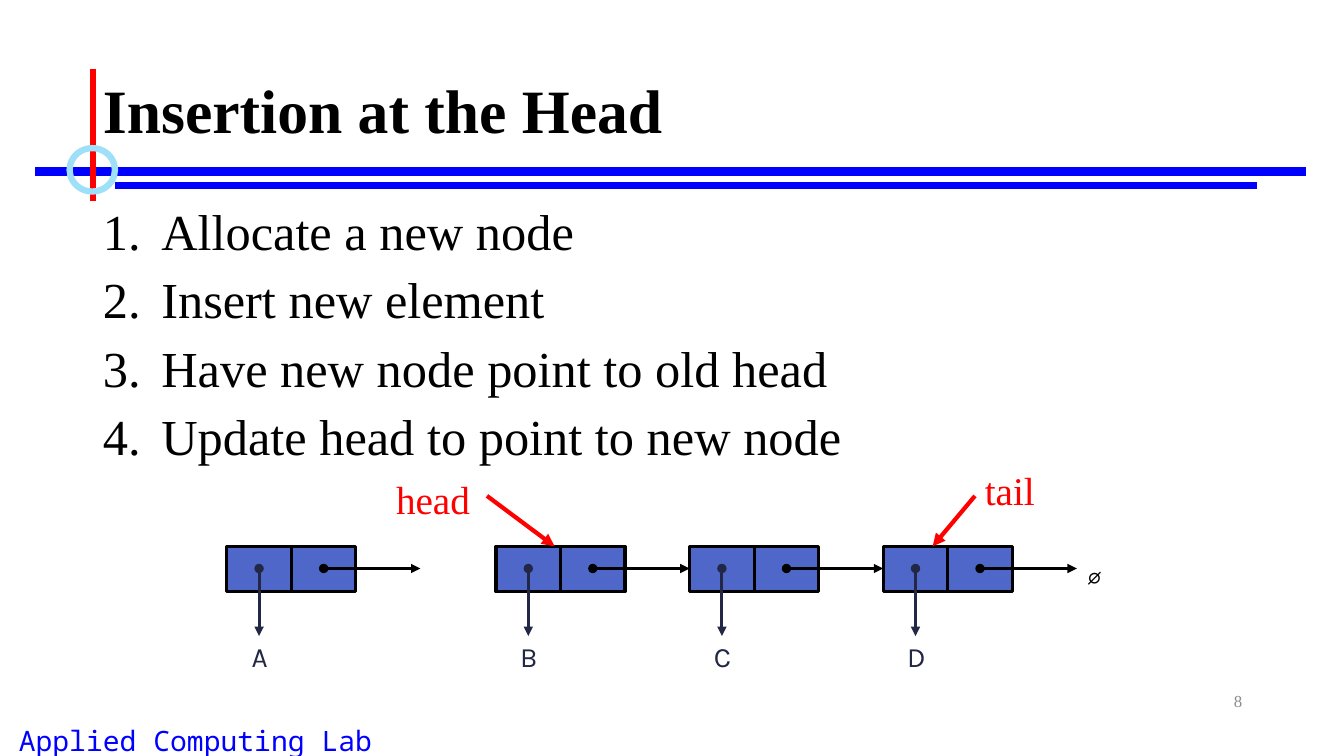
from lxml import etree
from pptx import Presentation
from pptx.dml.color import RGBColor
from pptx.enum.shapes import MSO_CONNECTOR, MSO_SHAPE
from pptx.enum.text import MSO_ANCHOR, MSO_AUTO_SIZE, PP_ALIGN
from pptx.oxml.ns import qn
from pptx.util import Inches, Pt

STRAIGHT = MSO_CONNECTOR.STRAIGHT
RECTANGLE, OVAL = MSO_SHAPE.RECTANGLE, MSO_SHAPE.OVAL
LEFT, CENTER, RIGHT = PP_ALIGN.LEFT, PP_ALIGN.CENTER, PP_ALIGN.RIGHT
TOP, MIDDLE = MSO_ANCHOR.TOP, MSO_ANCHOR.MIDDLE
NO_FIT = MSO_AUTO_SIZE.NONE

COLORS = {
    "black": "000000",
    "blue": "0000FF",
    "red": "FF0000",
    "sky": "9EE0F8",
    "node": "4E67C8",
    "navy": "212745",
    "gray": "8C8C8C",
}
SERIF, SANS, MONO = "Times New Roman", "Karla", "Noto Sans Mono"
CELL_WIDTH, CELL_HEIGHT = 0.64, 0.45
NODE_TOP = 5.42
POINTER_Y = 5.64
LIST_LEFT, NODE_PITCH = 4.92, 1.92
STEPS = [
    "Allocate a new node",
    "Insert new element",
    "Have new node point to old head",
    "Update head to point to new node",
]


def color(name):
    return RGBColor.from_string(COLORS[name])


def set_values(target, values):
    for name, value in values.items():
        setattr(target, name, value)


def style_paragraph(paragraph, text, font, size, ink, bold=False, **layout):
    run = paragraph.add_run()
    run.text = text
    set_values(run.font, {"name": font, "size": Pt(size), "bold": bold})
    run.font.color.rgb = color(ink)
    set_values(paragraph, layout)


def add_text(slide, box, text, font, size, ink, align=CENTER, anchor=TOP, wrap=False):
    shape = slide.shapes.add_textbox(*map(Inches, box))
    set_values(shape.text_frame, {"word_wrap": wrap, "vertical_anchor": anchor})
    style_paragraph(shape.text_frame.paragraphs[0], text, font, size, ink, alignment=align)


def add_line(slide, start, end, ink, width, head=None, tail=None):
    connector = slide.shapes.add_connector(STRAIGHT, *map(Inches, (*start, *end)))
    connector.line.color.rgb = color(ink)
    connector.line.width = Pt(width)
    outline = connector.line._get_or_add_ln()
    for tag, kind in (("a:headEnd", head), ("a:tailEnd", tail)):
        if kind:
            etree.SubElement(outline, qn(tag)).set("type", kind)
    etree.SubElement(connector._element.spPr, qn("a:effectLst"))


def add_shape(slide, kind, box, ink, width, fill=None):
    shape = slide.shapes.add_shape(kind, *map(Inches, box))
    shape.shadow.inherit = False
    shape.line.color.rgb = color(ink)
    shape.line.width = Pt(width)
    if fill:
        shape.fill.solid()
        shape.fill.fore_color.rgb = color(fill)
    else:
        shape.fill.background()


def add_decoration(slide):
    add_text(slide, (-0.58, 7.13, 5.04, 0.43), "Applied Computing Lab", MONO, 20, "blue", wrap=True)
    add_line(slide, (0.35, 1.7), (12.95, 1.7), "blue", 6)
    add_line(slide, (1.14, 1.84), (12.47, 1.84), "blue", 4.5)
    add_line(slide, (0.92, 0.68), (0.92, 1.99), "red", 4.5)
    add_shape(slide, OVAL, (0.69, 1.47, 0.45, 0.43), "sky", 4.5)
    add_text(slide, (9.42, 6.75, 3, 0.4), "8", SERIF, 12, "gray", RIGHT, MIDDLE, True)


def place(placeholder, box, anchor):
    sides = zip(("left", "top", "width", "height"), map(Inches, box))
    set_values(placeholder, dict(sides))
    set_values(placeholder.text_frame, {
        "word_wrap": True, "vertical_anchor": anchor, "auto_size": NO_FIT,
    })
    return placeholder.text_frame


def fill_title(slide, text):
    frame = place(slide.shapes.title, (0.92, 0.4, 11.5, 1.45), MIDDLE)
    style_paragraph(frame.paragraphs[0], text, SERIF, 44, "black", True,
                    alignment=LEFT, line_spacing=0.9)


def fill_steps(slide, steps):
    frame = place(slide.placeholders[1], (0.92, 2, 11.5, 2.7), TOP)
    for index, step in enumerate(steps):
        paragraph = frame.add_paragraph() if index else frame.paragraphs[0]
        style_paragraph(paragraph, step, SERIF, 36, "black",
                        line_spacing=0.9, space_before=Pt(10))
        properties = paragraph._p.get_or_add_pPr()
        properties.set("marL", str(Inches(0.58)))
        properties.set("indent", str(-Inches(0.58)))
        etree.SubElement(properties, qn("a:buAutoNum")).set("type", "arabicPeriod")


def add_node(slide, left, label):
    for cell in range(2):
        box = (left + cell * CELL_WIDTH, NODE_TOP, CELL_WIDTH, CELL_HEIGHT)
        add_shape(slide, RECTANGLE, box, "black", 2.25, "node")
    element_x = left + CELL_WIDTH / 2
    next_x = element_x + CELL_WIDTH
    ends = {"head": "oval", "tail": "triangle"}
    add_line(slide, (element_x, POINTER_Y), (element_x, 6.31), "navy", 2.25, **ends)
    add_line(slide, (next_x, POINTER_Y), (left + NODE_PITCH, POINTER_Y), "black", 2.25, **ends)
    add_text(slide, (element_x - 0.18, 6.3, 0.37, 0.43), label, SANS, 20, "navy")


def add_marker(slide, box, text, start, end):
    add_text(slide, box, text, SERIF, 28, "red", LEFT)
    add_line(slide, start, end, "red", 3, tail="triangle")


def main():
    presentation = Presentation()
    presentation.slide_width = Inches(13.33)
    presentation.slide_height = Inches(7.5)
    slide = presentation.slides.add_slide(presentation.slide_layouts[1])
    add_decoration(slide)
    fill_title(slide, "Insertion at the Head")
    fill_steps(slide, STEPS)
    add_node(slide, 2.25, "A")
    for index, label in enumerate("BCD"):
        add_node(slide, LIST_LEFT + index * NODE_PITCH, label)
    add_text(slide, (10.64, 5.49, 0.43, 0.43), "∅", SANS, 20, "black")
    add_marker(slide, (3.83, 4.67, 0.93, 0.57), "head", (4.83, 4.92), (5.5, NODE_TOP))
    add_marker(slide, (9.67, 4.58, 0.7, 0.57), "tail", (9.67, 4.92), (9.25, NODE_TOP))
    presentation.save("out.pptx")


main()
